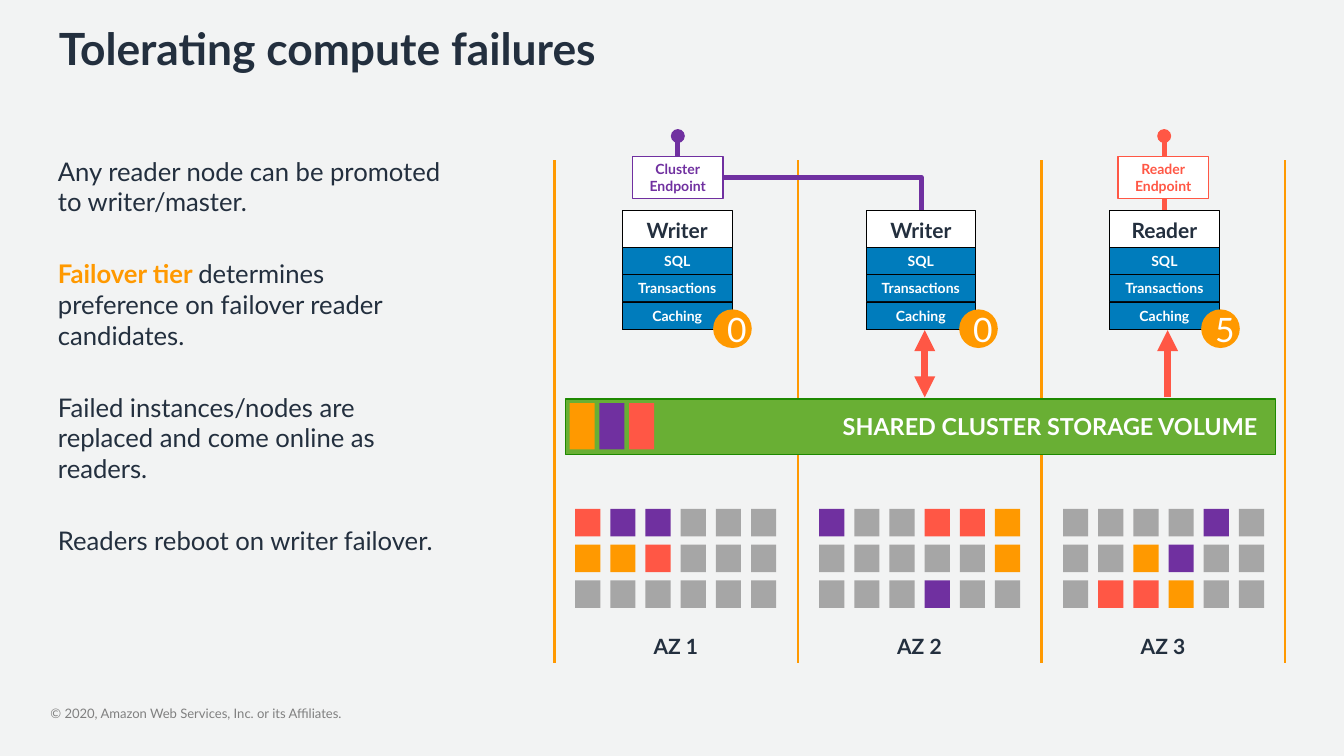
import pptx
import pptx.dml.color
import pptx.enum.shapes
import pptx.enum.text
import pptx.oxml
import pptx.oxml.ns
import pptx.util

Pt = pptx.util.Pt
RGB = pptx.dml.color.RGBColor.from_string
ALIGN = pptx.enum.text.PP_ALIGN
ANCHOR = pptx.enum.text.MSO_ANCHOR
SHAPE = pptx.enum.shapes.MSO_SHAPE
CONNECTOR = pptx.enum.shapes.MSO_CONNECTOR

THEME = {
    "font": "Lato",
    "colours": {
        "paper": "F2F3F3", "ink": "232F3E", "muted": "808080", "white": "FFFFFF",
        "black": "000000", "orange": "FF9900", "purple": "7030A0", "coral": "FF5745",
        "grey": "A6A6A6", "blue": "007CBC", "green": "69AF34", "forest": "1E8900",
    },
    # style: size, bold, colour
    "text": {
        "title": (38, True, "ink"), "body": (22, False, "ink"),
        "accent": (22, True, "orange"), "footer": (11.2, False, "muted"),
        "label": (18, True, "ink"), "volume": (20, True, "white"),
        "layer": (12, True, "white"), "cluster": (12, True, "purple"),
        "reader": (12, True, "coral"), "tier": (28.8, False, "white"),
    },
}


def colour(name):
    return RGB(THEME["colours"][name])


def write(frame, paragraphs, align):
    """Fill a text frame; each paragraph is a list of (text, style) pairs."""
    for index, spans in enumerate(paragraphs):
        para = frame.paragraphs[0] if index == 0 else frame.add_paragraph()
        para.alignment = align
        for text, style in spans:
            size, bold, ink = THEME["text"][style]
            span = para.add_run()
            span.text = text
            span.font.color.rgb = colour(ink)
            values = {"name": THEME["font"], "size": Pt(size), "bold": bold}
            for key, value in values.items():
                setattr(span.font, key, value)


def box(at, paragraphs=(), fill=None, edge=None, weight=0.75,
        kind=SHAPE.RECTANGLE, align=ALIGN.CENTER, wrap=True):
    """Add a filled shape, or a plain text box when there is no fill."""
    place = [Pt(value) for value in at]
    if fill:
        shape = page.shapes.add_shape(kind, *place)
        shape.shadow.inherit = False
        shape.fill.solid()
        shape.fill.fore_color.rgb = colour(fill)
        if edge:
            shape.line.color.rgb = colour(edge)
            shape.line.width = Pt(weight)
        else:
            shape.line.fill.background()
        shape.text_frame.vertical_anchor = ANCHOR.MIDDLE
    else:
        shape = page.shapes.add_textbox(*place)
    shape.text_frame.word_wrap = wrap
    write(shape.text_frame, paragraphs, align)
    return shape


deck = pptx.Presentation()
deck.slide_width, deck.slide_height = Pt(1152), Pt(648)
page = deck.slides.add_slide(deck.slide_layouts[1])
page.background.fill.solid()
page.background.fill.fore_color.rgb = colour("paper")

# Title and body
title, body = page.shapes.title, page.placeholders[1]
points = [
    [("Any reader node can be promoted to writer/master.", "body")],
    [("Failover tier ", "accent"),
     ("determines preference on failover reader candidates.", "body")],
    [("Failed instances/nodes are replaced and come online as readers.", "body")],
    [("Readers reboot on writer failover.", "body")],
]
for holder, at, paragraphs in [
    (title, (43.2, 14.4, 1064.2, 68.4), [[("Tolerating compute failures", "title")]]),
    (body, (42.5, 129.6, 349.9, 400.3), points),
]:
    for side, value in zip(("left", "top", "width", "height"), at):
        setattr(holder, side, Pt(value))
    frame = holder.text_frame
    for key, value in {"auto_size": pptx.enum.text.MSO_AUTO_SIZE.NONE,
                       "vertical_anchor": ANCHOR.TOP, "word_wrap": True}.items():
        setattr(frame, key, value)
    write(frame, paragraphs, ALIGN.LEFT)
for index, para in enumerate(body.text_frame.paragraphs):
    para.space_before = Pt(35.2 if index else 0)
    properties = para._p.get_or_add_pPr()
    properties.set("marL", "0")
    properties.set("indent", "0")
    pptx.oxml.ns.qn("a:buNone")
    properties.append(properties.makeelement(pptx.oxml.ns.qn("a:buNone"), {}))

# Footer
footer = box((43.2, 604.8, 560.2, 13.7), align=ALIGN.LEFT, paragraphs=[
    [("© 2020, Amazon Web Services, Inc. or its Affiliates.", "footer")]])
for side in ("left", "top", "right", "bottom"):
    setattr(footer.text_frame, "margin_" + side, 0)

# Zone dividers, arrows and endpoint links: from, to, colour, weight, ends
ZONE_STEP = 208.8
links = [((475.2 + ZONE_STEP * zone, 137.5), (475.2 + ZONE_STEP * zone, 568.1),
          "orange", 2, {}) for zone in range(4)]
links += [
    ((792.7, 283), (792.7, 340.6), "coral", 6,
     {"headEnd": "triangle", "tailEnd": "triangle"}),
    ((1000.8, 340.6), (1000.8, 283), "coral", 6, {"tailEnd": "triangle"}),
    ((581, 169.9), (581, 116.6), "purple", 4, {"tailEnd": "oval"}),
    ((997.9, 180.7), (997.9, 116.6), "coral", 4, {"tailEnd": "oval"}),
    ((619.2, 151.9), (789.8, 180.7), "purple", 4, {}),
]
for start, end, ink, weight, ends in links:
    bent = start[0] != end[0]
    link = page.shapes.add_connector(
        CONNECTOR.ELBOW if bent else CONNECTOR.STRAIGHT,
        *[Pt(value) for value in start + end])
    link.line.color.rgb = colour(ink)
    link.line.width = Pt(weight)
    properties = link._element.spPr
    if bent:
        properties.find(pptx.oxml.ns.qn("a:prstGeom")).set("prst", "bentConnector2")
    outline = link.line._get_or_add_ln()
    for tag, head in ends.items():
        outline.append(outline.makeelement(pptx.oxml.ns.qn("a:" + tag), {"type": head}))
    properties.append(properties.makeelement(pptx.oxml.ns.qn("a:effectLst"), {}))

# Shared storage volume with its three blocks
box((484.6, 342, 608.4, 47.5), fill="green", edge="forest", weight=1)
box((713.5, 349.9, 371.5, 31.7), [[("SHARED CLUSTER STORAGE VOLUME", "volume")]],
    align=ALIGN.RIGHT, wrap=False)
for index, ink in enumerate(("orange", "purple", "coral")):
    box((488.2 + 25.5 * index, 345.6, 21.6, 39.6), fill=ink)

# Zones: storage blocks, name, node stack and failover tier
inks = {".": "grey", "P": "purple", "C": "coral", "O": "orange"}
zones = [
    ("Writer", "0", 611.3, ("CPP...", "OOC...", "......")),
    ("Writer", "0", 822.2, ("P..CCO", ".....O", "...P..")),
    ("Reader", "5", 1029.6, ("....P.", "..OP..", ".CCO..")),
]
for zone, (role, tier, tier_left, rows) in enumerate(zones):
    shift = ZONE_STEP * zone
    for row, cells in enumerate(rows):
        for column, cell in enumerate(cells):
            box((493 + 209.1 * zone + 30.15 * column, 436.2 + 30.6 * row, 21.6, 23.7),
                fill=inks[cell])
    box((553 + shift, 539.3, 52.6, 28.8), [[(f"AZ {zone + 1}", "label")]], wrap=False)

    left = 533.5 + shift
    box((left, 180.7, 93.9, 101.5), fill="white", edge="black")
    box((left, 182.9, 93.9, 28.8), [[(role, "label")]])
    for index, layer in enumerate(("SQL", "Transactions", "Caching")):
        box((left, 211.9 + 23.45 * index, 93.9, 23.45), [[(layer, "layer")]],
            fill="blue", edge="black")
    box((tier_left, 265.2, 33.1, 33.1), [[(tier, "tier")]], fill="orange",
        kind=SHAPE.OVAL)

# Endpoints
for name, left, ink in (("Cluster", 542.2, "purple"), ("Reader", 958.3, "coral")):
    box((left, 133.9, 77.5, 36), [[(name, name.lower())], [("Endpoint", name.lower())]],
        fill="white", edge=ink, weight=1)

deck.save("out.pptx")
